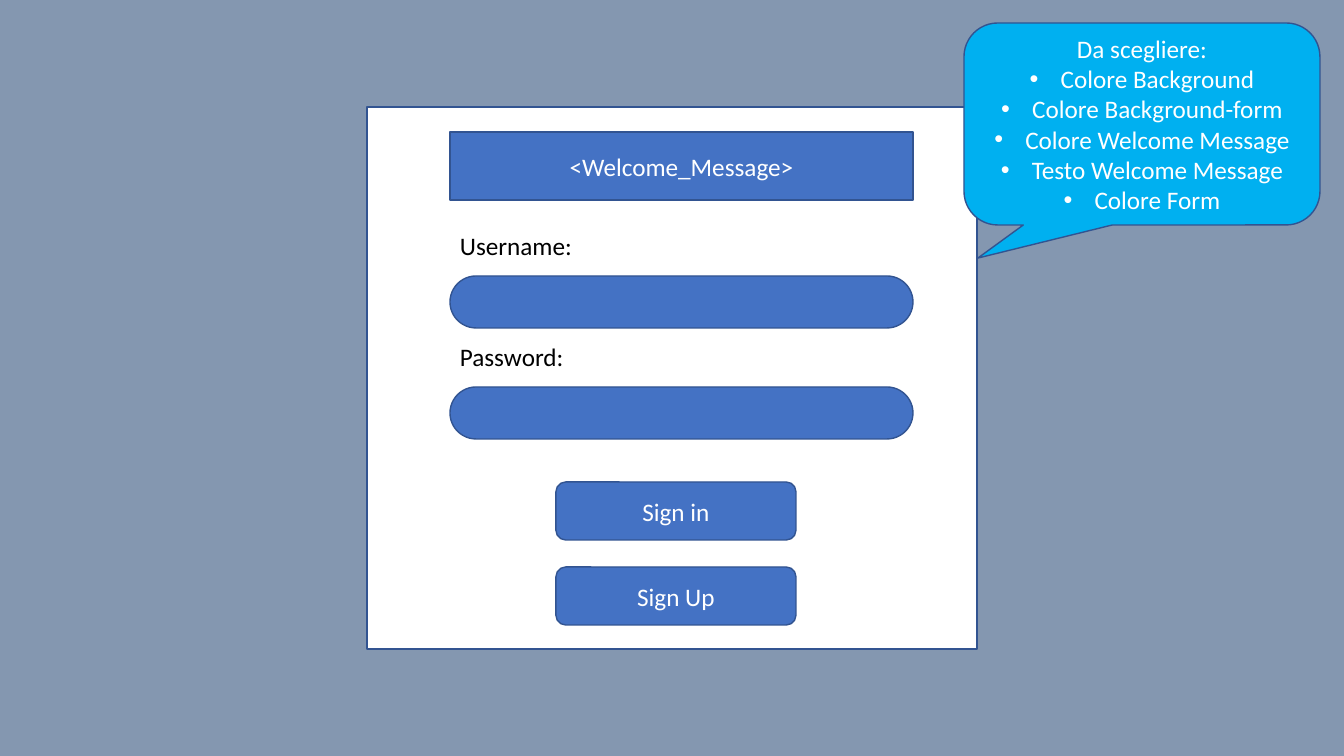
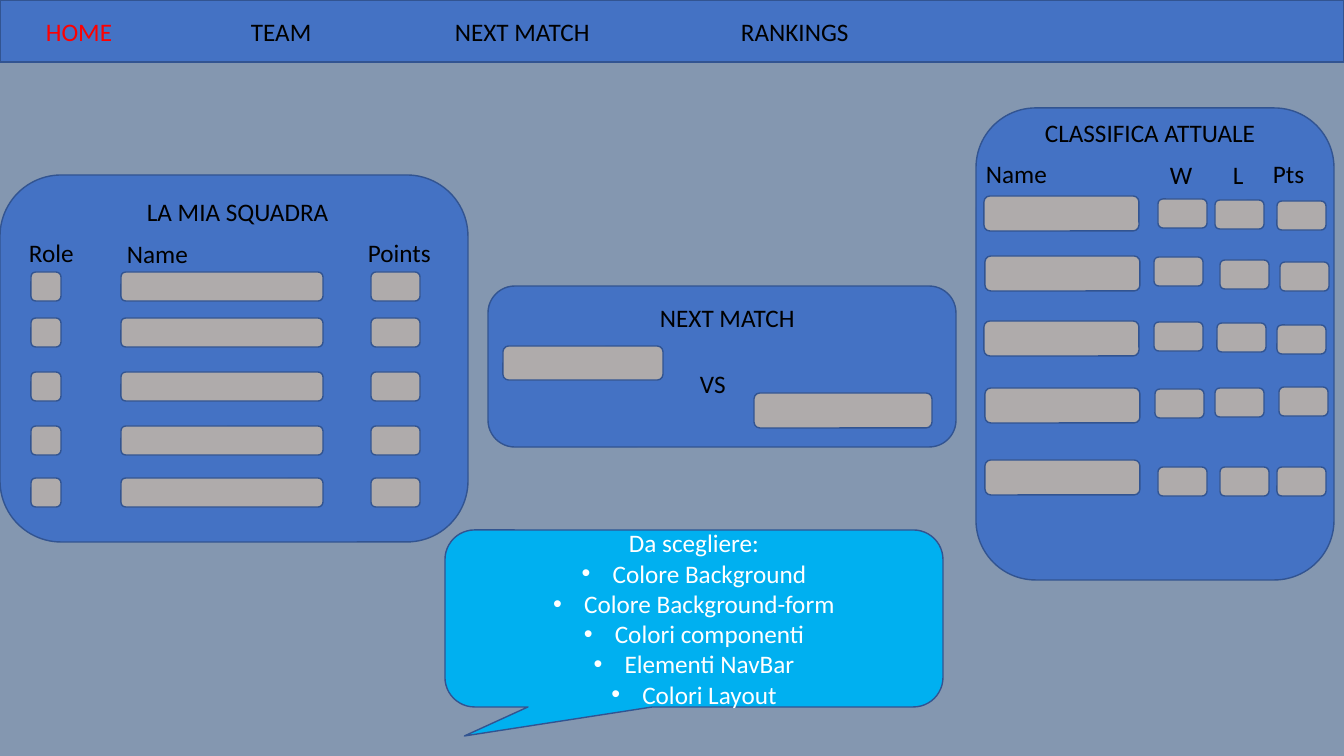
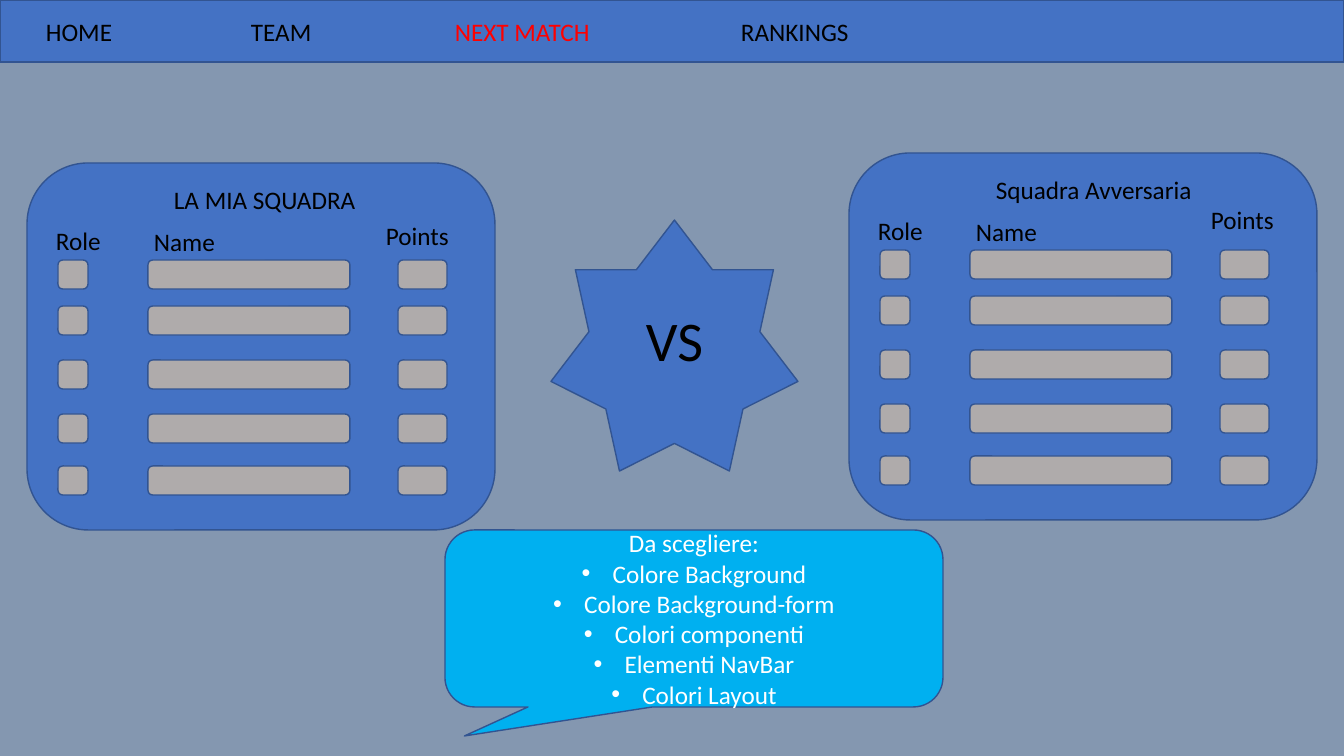
"""Build the mock-ups of the login, home and next-match pages."""
from dataclasses import dataclass
from typing import NamedTuple

from lxml.etree import SubElement
from pptx import Presentation
from pptx.dml.color import RGBColor
from pptx.enum.shapes import MSO_SHAPE
from pptx.enum.text import MSO_AUTO_SIZE, PP_ALIGN
from pptx.oxml.ns import qn
from pptx.shapes.autoshape import Shape
from pptx.slide import Slide
from pptx.text.text import TextFrame
from pptx.util import Emu, Pt

SLIDE_WIDTH, SLIDE_HEIGHT = 1344, 756
EMU_PER_PIXEL = 12192000 / SLIDE_WIDTH


@dataclass(frozen=True)
class Theme:
    """Colours and type sizes shared by all pages."""

    font: str = "Calibri"
    body_size: int = 18
    versus_size: int = 40
    outline_width: int = 1
    page: RGBColor = RGBColor(0x84, 0x97, 0xB0)
    panel: RGBColor = RGBColor(0x44, 0x72, 0xC4)
    outline: RGBColor = RGBColor(0x32, 0x54, 0x91)
    slot: RGBColor = RGBColor(0xAF, 0xAB, 0xAB)
    callout: RGBColor = RGBColor(0x00, 0xB0, 0xF0)
    light: RGBColor = RGBColor(0xFF, 0xFF, 0xFF)
    dark: RGBColor = RGBColor(0x00, 0x00, 0x00)
    active: RGBColor = RGBColor(0xFF, 0x00, 0x00)


THEME = Theme()


class Box(NamedTuple):
    """A rectangle in pixels."""

    left: int
    top: int
    width: int
    height: int


class Label(NamedTuple):
    """A line of text with its place and width."""

    text: str
    left: int
    top: int
    width: int


class SlotColumn(NamedTuple):
    """A column of equal slots at the given corners."""

    width: int
    height: int
    corners: tuple[tuple[int, int], ...]


class Squad(NamedTuple):
    """A squad card and the place of its points heading within it."""

    title: str
    left: int
    top: int
    points_left: int
    points_top: int


LABEL_HEIGHT = 40
NAV_ITEMS = (("HOME", 36), ("TEAM", 241), ("NEXT MATCH", 445), ("RANKINGS", 731))

SQUAD_WIDTH, SQUAD_HEIGHT = 468, 367
SQUAD_ROWS = (97, 143, 197, 251, 303)
SQUAD_COLUMNS = ((31, 30), (121, 202), (371, 49))
HOME_SQUAD = Squad("LA MIA SQUADRA", 0, 175, 358, 57)
MATCH_SQUADS = (
    Squad("LA MIA SQUADRA", 27, 163, 349, 52),
    Squad("Squadra Avversaria", 849, 153, 352, 46),
)

STANDINGS_LABELS = (
    Label("CLASSIFICA ATTUALE", 1035, 112, 240),
    Label("Name", 976, 153, 88),
    Label("W", 1160, 154, 50),
    Label("L", 1223, 154, 27),
    Label("Pts", 1263, 153, 80),
)
STANDINGS_COLUMNS = (
    SlotColumn(155, 35, ((984, 196), (985, 256), (984, 321), (985, 388), (985, 460))),
    SlotColumn(49, 29, ((1158, 199), (1154, 257), (1154, 322), (1155, 389), (1158, 467))),
    SlotColumn(49, 29, ((1215, 200), (1220, 260), (1217, 323), (1215, 388), (1220, 467))),
    SlotColumn(49, 29, ((1277, 201), (1280, 262), (1277, 325), (1279, 387), (1277, 467))),
)

CALLOUT_HEADING = "Da scegliere:"
LOGIN_CHOICES = (
    "Colore Background",
    "Colore Background-form",
    "Colore Welcome Message",
    "Testo Welcome Message",
    "Colore Form",
)
PAGE_CHOICES = (
    "Colore Background",
    "Colore Background-form",
    "Colori componenti",
    "Elementi NavBar",
    "Colori Layout",
)


def px(pixels: int) -> Emu:
    """Turn pixels into EMU."""
    return Emu(round(pixels * EMU_PER_PIXEL))


def write(frame: TextFrame, text: str, color: RGBColor, size: int, align: PP_ALIGN) -> None:
    """Fill a frame with text in one format."""
    frame.text = text
    frame.word_wrap = True
    for paragraph in frame.paragraphs:
        paragraph.alignment = align
        for run in paragraph.runs:
            run.font.name = THEME.font
            run.font.size = Pt(size)
            run.font.color.rgb = color


def draw_shape(
    slide: Slide,
    kind: MSO_SHAPE,
    box: Box,
    fill: RGBColor,
    text: str = "",
    color: RGBColor = THEME.light,
    size: int = THEME.body_size,
) -> Shape:
    """Draw an outlined shape with optional centred text."""
    shape = slide.shapes.add_shape(kind, *map(px, box))
    shape.shadow.inherit = False
    shape.fill.solid()
    shape.fill.fore_color.rgb = fill
    shape.line.color.rgb = THEME.outline
    shape.line.width = Pt(THEME.outline_width)
    if text:
        write(shape.text_frame, text, color, size, PP_ALIGN.CENTER)
    return shape


def draw_label(slide: Slide, label: Label, color: RGBColor = THEME.dark) -> None:
    """Draw a left-aligned line of text."""
    box = Box(label.left, label.top, label.width, LABEL_HEIGHT)
    frame = slide.shapes.add_textbox(*map(px, box)).text_frame
    write(frame, label.text, color, THEME.body_size, PP_ALIGN.LEFT)
    frame.auto_size = MSO_AUTO_SIZE.SHAPE_TO_FIT_TEXT


def draw_panel(slide: Slide, box: Box) -> None:
    """Draw a rounded blue panel."""
    draw_shape(slide, MSO_SHAPE.ROUNDED_RECTANGLE, box, THEME.panel)


def draw_slot(slide: Slide, box: Box) -> None:
    """Draw a grey slot for a value."""
    draw_shape(slide, MSO_SHAPE.ROUNDED_RECTANGLE, box, THEME.slot)


def draw_callout(slide: Slide, box: Box, choices: tuple[str, ...]) -> None:
    """Draw the balloon listing what can be chosen."""
    balloon = draw_shape(
        slide,
        MSO_SHAPE.ROUNDED_RECTANGULAR_CALLOUT,
        box,
        THEME.callout,
        "\n".join((CALLOUT_HEADING, *choices)),
    )
    for index, value in enumerate((-0.461, 0.664, 0.167)):
        balloon.adjustments[index] = value
    indent = px(31)
    for choice in balloon.text_frame.paragraphs[1:]:
        properties = choice._p.get_or_add_pPr()
        properties.set("marL", str(indent))
        properties.set("indent", str(-indent))
        SubElement(properties, qn("a:buFont"), typeface="Arial")
        SubElement(properties, qn("a:buChar"), char="•")


def draw_nav_bar(slide: Slide, current: str) -> None:
    """Draw the navigation bar with the current page marked."""
    draw_shape(slide, MSO_SHAPE.RECTANGLE, Box(0, 0, SLIDE_WIDTH, 62), THEME.panel)
    for name, left in NAV_ITEMS:
        color = THEME.active if name == current else THEME.dark
        draw_label(slide, Label(name, left, 11, 167), color)


def draw_squad(slide: Slide, squad: Squad) -> None:
    """Draw a squad card with its headings and slots."""
    draw_panel(slide, Box(squad.left, squad.top, SQUAD_WIDTH, SQUAD_HEIGHT))
    headings = (
        Label(squad.title, 137, 16, 221),
        Label("Role", 19, 57, 78),
        Label("Name", 117, 58, 88),
        Label("Points", squad.points_left, squad.points_top, 88),
    )
    for text, left, top, width in headings:
        draw_label(slide, Label(text, squad.left + left, squad.top + top, width))
    for top in SQUAD_ROWS:
        for left, width in SQUAD_COLUMNS:
            draw_slot(slide, Box(squad.left + left, squad.top + top, width, 29))


def draw_next_match(slide: Slide) -> None:
    """Draw the card of the next match."""
    draw_panel(slide, Box(488, 286, 468, 161))
    draw_label(slide, Label("NEXT MATCH", 650, 297, 178))
    draw_slot(slide, Box(754, 393, 178, 35))
    draw_slot(slide, Box(503, 346, 160, 34))
    draw_label(slide, Label("VS", 690, 363, 54))


def draw_standings(slide: Slide) -> None:
    """Draw the card of the current standings."""
    draw_panel(slide, Box(976, 108, 358, 472))
    for label in STANDINGS_LABELS:
        draw_label(slide, label)
    for column in STANDINGS_COLUMNS:
        for left, top in column.corners:
            draw_slot(slide, Box(left, top, column.width, column.height))


def build_login(slide: Slide) -> None:
    """Build the login page."""
    draw_shape(slide, MSO_SHAPE.RECTANGLE, Box(367, 107, 610, 542), THEME.light)
    draw_shape(
        slide, MSO_SHAPE.RECTANGLE, Box(450, 132, 463, 68), THEME.panel, "<Welcome_Message>"
    )
    for name, top in (("Username:", 225), ("Password:", 336)):
        field = draw_shape(
            slide, MSO_SHAPE.ROUNDED_RECTANGLE, Box(450, top + 51, 463, 52), THEME.panel
        )
        field.adjustments[0] = 0.5
        draw_label(slide, Label(name, 450, top, 232))
    for action, top in (("Sign in", 482), ("Sign Up", 567)):
        draw_shape(
            slide, MSO_SHAPE.ROUNDED_RECTANGLE, Box(556, top, 240, 58), THEME.panel, action
        )
    draw_callout(slide, Box(964, 23, 356, 202), LOGIN_CHOICES)


def draw_page_callout(slide: Slide) -> None:
    """Draw the balloon shared by the inner pages."""
    draw_callout(slide, Box(445, 530, 498, 177), PAGE_CHOICES)


def build_home(slide: Slide) -> None:
    """Build the home page."""
    draw_squad(slide, HOME_SQUAD)
    draw_page_callout(slide)
    draw_nav_bar(slide, "HOME")
    draw_next_match(slide)
    draw_standings(slide)


def build_match(slide: Slide) -> None:
    """Build the next-match page."""
    draw_page_callout(slide)
    draw_nav_bar(slide, "NEXT MATCH")
    for squad in MATCH_SQUADS:
        draw_squad(slide, squad)
    draw_shape(
        slide,
        MSO_SHAPE.STAR_7_POINT,
        Box(551, 220, 247, 251),
        THEME.panel,
        "VS",
        THEME.dark,
        THEME.versus_size,
    )


def main() -> None:
    """Build and save the presentation."""
    presentation = Presentation()
    presentation.slide_width = px(SLIDE_WIDTH)
    presentation.slide_height = px(SLIDE_HEIGHT)
    backdrop = presentation.slide_master.background.fill
    backdrop.solid()
    backdrop.fore_color.rgb = THEME.page
    blank_layout = presentation.slide_layouts.get_by_name("Blank")
    for build in (build_login, build_home, build_match):
        build(presentation.slides.add_slide(blank_layout))
    presentation.save("out.pptx")


main()
